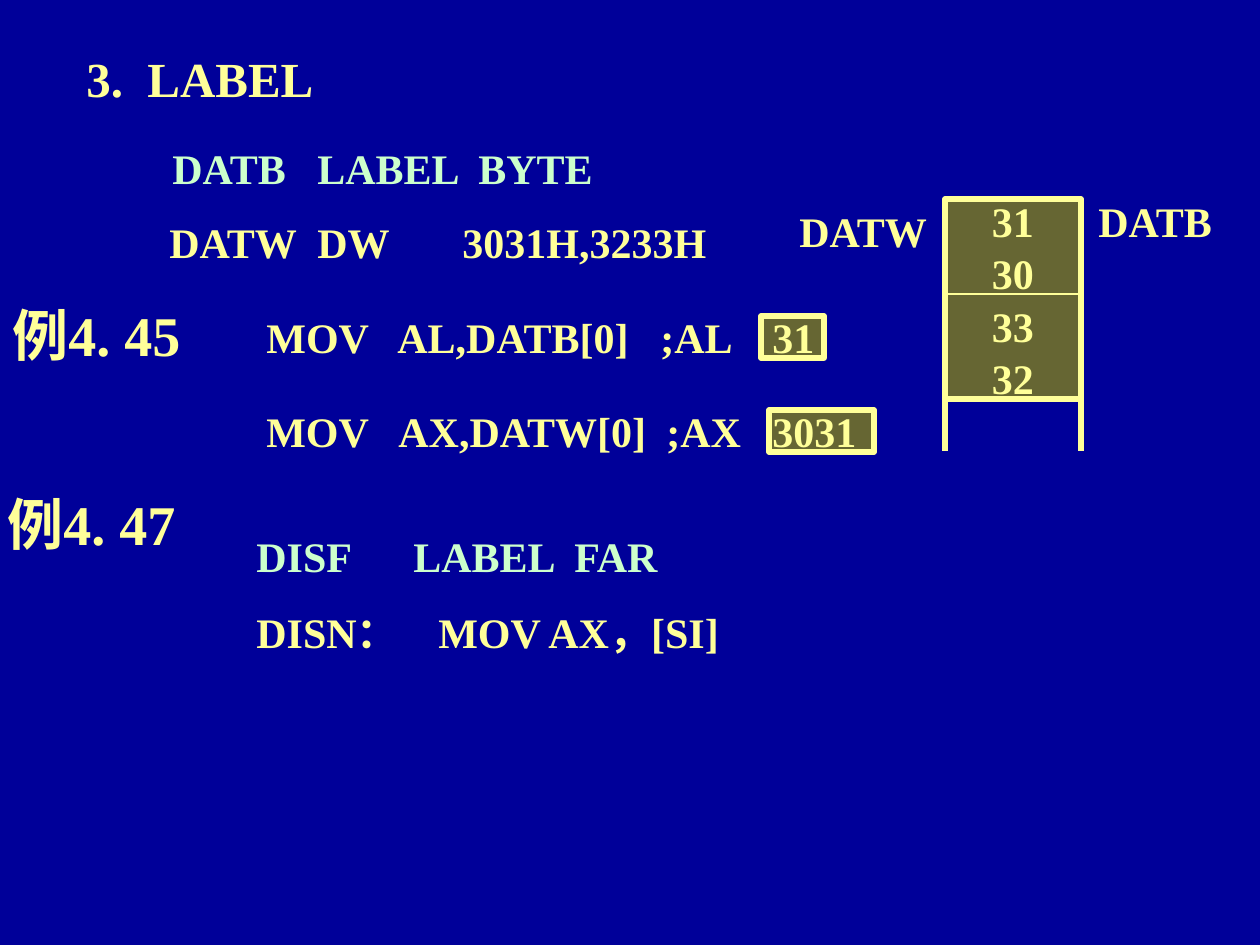
from dataclasses import dataclass

from lxml.etree import SubElement
from pptx import Presentation
from pptx.dml.color import RGBColor
from pptx.enum.shapes import MSO_CONNECTOR, MSO_SHAPE
from pptx.enum.text import MSO_ANCHOR, PP_ALIGN
from pptx.oxml.ns import qn
from pptx.util import Emu, Pt

SCALE = 914400 / 126
NAVY, OLIVE, CREAM, MINT = "000099", "666633", "FFFF99", "CCFFCC"


@dataclass
class Line:
    text: str
    stops: tuple[int, ...] = ()
    tint: str = CREAM
    size: int = 24


@dataclass
class Label:
    left: int
    top: int
    width: int
    height: int
    lines: list[Line]


def px(n: float) -> Emu:
    return Emu(round(n * SCALE))


def rgb(code: str) -> RGBColor:
    return RGBColor.from_string(code)


def write(para, line: Line) -> None:
    para.text = line.text
    if line.stops:
        tabs = SubElement(para._p.get_or_add_pPr(), qn("a:tabLst"))
        for stop in line.stops:
            SubElement(tabs, qn("a:tab"), pos=str(px(stop)), algn="l")
    font = para.font
    font.name, font.size, font.bold = "Times New Roman", Pt(line.size), True
    font.color.rgb = rgb(line.tint)


def fill_text(frame, lines: list[Line], gap: float = 15) -> None:
    for i, line in enumerate(lines):
        para = frame.add_paragraph() if i else frame.paragraphs[0]
        write(para, line)
        if i:
            para.space_before = Pt(gap)


def add_label(slide, item: Label) -> None:
    box = slide.shapes.add_textbox(
        px(item.left), px(item.top), px(item.width), px(item.height))
    box.text_frame.word_wrap = True
    fill_text(box.text_frame, item.lines)


def add_cell(slide, left: int, top: int, width: int, height: int):
    cell = slide.shapes.add_shape(
        MSO_SHAPE.RECTANGLE, px(left), px(top), px(width), px(height))
    cell.shadow.inherit = False
    cell.fill.solid()
    cell.fill.fore_color.rgb = rgb(OLIVE)
    cell.line.color.rgb = rgb(CREAM)
    cell.line.width = Pt(3)
    return cell


def add_rule(slide, x: int, y: int, end_x: int, end_y: int, weight: float) -> None:
    rule = slide.shapes.add_connector(
        MSO_CONNECTOR.STRAIGHT, px(x), px(y), px(end_x), px(end_y))
    rule.line.color.rgb = rgb(CREAM)
    rule.line.width = Pt(weight)
    SubElement(rule._element.spPr, qn("a:effectLst"))


LABELS = [
    Label(74, 42, 260, 72, [Line("3.\tLABEL", (61,), size=28)]),
    Label(160, 136, 460, 63, [Line("DATB\tLABEL\tBYTE", (145, 306), MINT)]),
    Label(157, 210, 580, 63, [Line("DATW\tDW\t3031H,3233H", (148, 293))]),
    Label(0, 294, 210, 131, [Line("例4. 45", size=32)]),
    Label(254, 305, 600, 63,
          [Line("MOV\tAL,DATB[0]\t;AL\t31", (131, 394, 506))]),
    Label(254, 399, 640, 63,
          [Line("MOV\tAX,DATW[0]\t;AX\t3031", (132, 400, 506))]),
    Label(787, 199, 155, 63, [Line("DATW")]),
    Label(1086, 189, 141, 63, [Line("DATB")]),
    Label(-5, 483, 210, 131, [Line("例4. 47", size=32)]),
    Label(244, 524, 540, 140, [
        Line("DISF\tLABEL\tFAR", (157, 318), MINT),
        Line("DISN：\tMOV AX，[SI]", (182,)),
    ]),
]


def main() -> None:
    deck = Presentation()
    deck.slide_width, deck.slide_height = px(1260), px(945)
    slide = deck.slides.add_slide(deck.slide_layouts[6])
    slide.background.fill.solid()
    slide.background.fill.fore_color.rgb = rgb(NAVY)

    # Register values, behind their text
    add_cell(slide, 761, 316, 63, 42)
    add_cell(slide, 769, 410, 105, 42)

    # Memory column, with its words divided and its sides running on
    left, top, width, height = 945, 199, 136, 200
    base = top + height
    memory = add_cell(slide, left, top, width, height)
    frame = memory.text_frame
    frame.margin_top = frame.margin_bottom = 0
    frame.vertical_anchor = MSO_ANCHOR.MIDDLE
    fill_text(frame, [Line(byte) for byte in ("31", "30", "33", "32")], 1.2)
    for para in frame.paragraphs:
        para.alignment = PP_ALIGN.CENTER
    add_rule(slide, left, 294, left + width, 294, 0.75)
    for x in (left, left + width):
        add_rule(slide, x, base, x, base + 52, 3)

    # Code lines and headings
    for item in LABELS:
        add_label(slide, item)

    deck.save("out.pptx")


if __name__ == "__main__":
    main()
